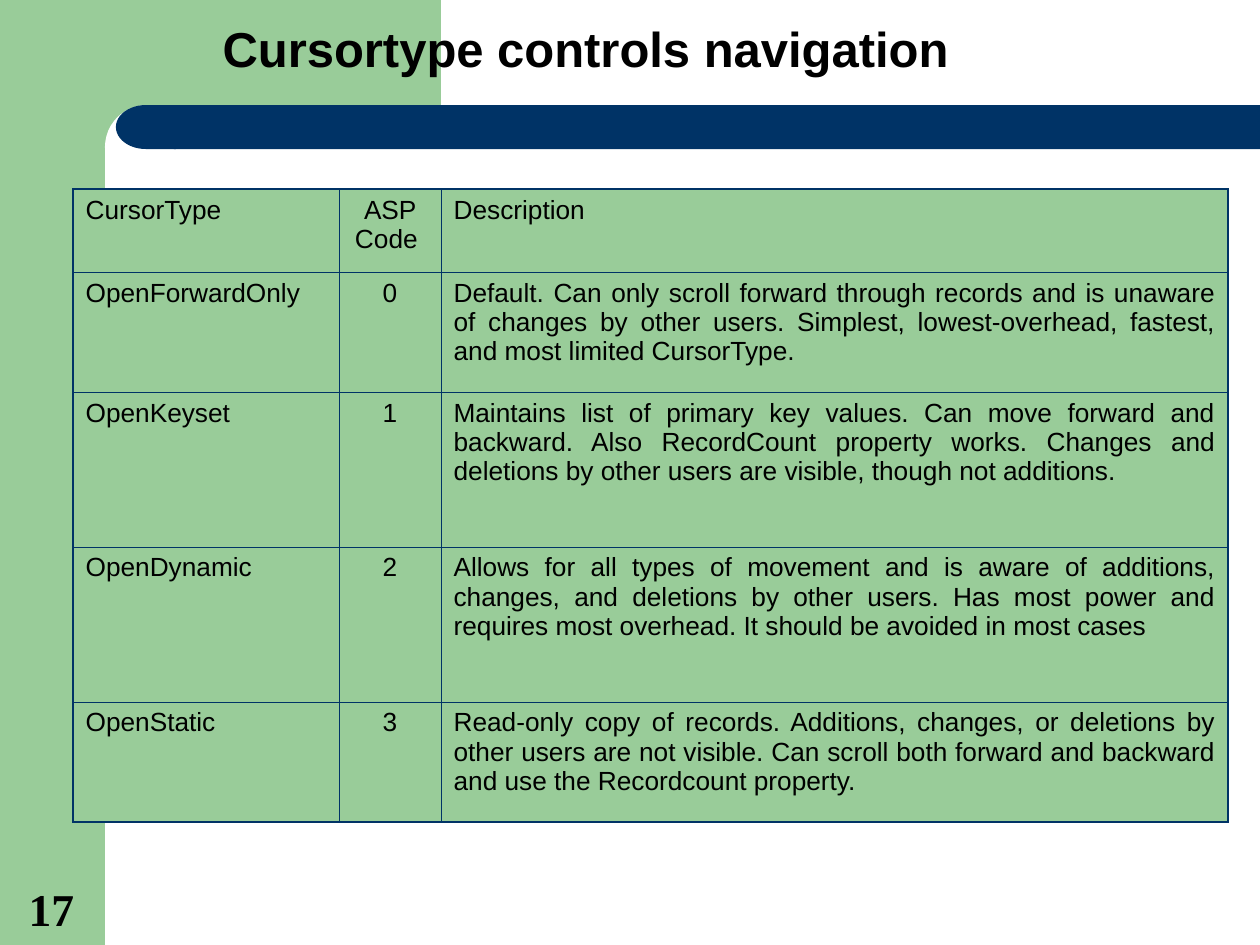
from dataclasses import dataclass
from typing import NamedTuple

from lxml import etree
from pptx import Presentation, util as u
from pptx.dml import color
from pptx.enum import shapes, text
from pptx.oxml import ns

EMU_PER_PX = 914400 / 126


@dataclass(frozen=True)
class Theme:
    green: str = "99CC99"
    navy: str = "003366"
    white: str = "FFFFFF"
    black: str = "000000"
    sans: str = "Arial"
    serif: str = "Times New Roman"
    title_size: int = 28
    cell_size: int = 15
    number_size: int = 26
    outer_line: float = 1.08
    inner_line: float = 0.45


class Box(NamedTuple):
    left: int
    top: int
    width: int
    height: int


class Panel(NamedTuple):
    kind: shapes.MSO_SHAPE
    box: Box
    fill: str
    rounding: float | None = None
    flipped: bool = False


class CursorRow(NamedTuple):
    height: int
    cursor_type: str
    asp_code: str
    description: str


THEME = Theme()
PANELS = (
    Panel(shapes.MSO_SHAPE.RECTANGLE, Box(0, 0, 105, 945), THEME.green),
    Panel(shapes.MSO_SHAPE.RECTANGLE, Box(95, 0, 346, 147), THEME.green),
    Panel(shapes.MSO_SHAPE.ROUNDED_RECTANGLE, Box(105, 105, 703, 84), THEME.white, 0.5),
    Panel(shapes.MSO_SHAPE.ROUNDED_RECTANGLE, Box(174, 105, 1086, 44), THEME.navy, 0),
    Panel(shapes.MSO_SHAPE.FLOWCHART_DELAY, Box(116, 105, 60, 44), THEME.navy, flipped=True),
)
COLUMN_WIDTHS = (266, 102, 787)
CURSOR_ROWS = (
    CursorRow(83, "CursorType", "ASP Code ", "Description"),
    CursorRow(120, "OpenForwardOnly", "0",
              "Default. Can only scroll forward through records and is unaware of changes "
              "by other users. Simplest, lowest-overhead, fastest, and most limited CursorType."),
    CursorRow(155, "OpenKeyset", "1",
              "Maintains list of primary key values. Can move forward and backward. Also "
              "RecordCount property works. Changes and deletions by other users are visible, "
              "though not additions."),
    CursorRow(155, "OpenDynamic", "2",
              "Allows for all types of movement and is aware of additions, changes, and "
              "deletions by other users. Has most power and requires most overhead. "
              "It should be avoided in most cases"),
    CursorRow(120, "OpenStatic", "3",
              "Read-only copy of records. Additions, changes, or deletions by other users are "
              "not visible. Can scroll both forward and backward and use the Recordcount property."),
)


def px(length: int) -> u.Emu:
    return u.Emu(round(length * EMU_PER_PX))


def place(box: Box) -> tuple[u.Emu, ...]:
    return tuple(px(length) for length in box)


def rgb(value: str) -> color.RGBColor:
    return color.RGBColor.from_string(value)


def write(frame, wording: str, *, size: int, font: str = THEME.sans, bold: bool = False,
          align=text.PP_ALIGN.LEFT, anchor=text.MSO_ANCHOR.TOP, spacing: float = 1.0) -> None:
    frame.word_wrap = True
    frame.auto_size = text.MSO_AUTO_SIZE.NONE
    frame.vertical_anchor = anchor
    paragraph = frame.paragraphs[0]
    paragraph.alignment = align
    paragraph.line_spacing = spacing
    paragraph.space_before = u.Pt(0)
    run = paragraph.add_run()
    run.text = wording
    run.font.name = font
    run.font.size = u.Pt(size)
    run.font.bold = bold
    run.font.color.rgb = rgb(THEME.black)


def draw_panel(slide, panel: Panel) -> None:
    shape = slide.shapes.add_shape(panel.kind, *place(panel.box))
    shape.shadow.inherit = False
    shape.fill.solid()
    shape.fill.fore_color.rgb = rgb(panel.fill)
    shape.line.fill.background()
    if panel.rounding is not None:
        shape.adjustments[0] = panel.rounding
    if panel.flipped:
        shape._element.spPr.find(ns.qn("a:xfrm")).set("flipH", "1")


def draw_borders(cell, outer_sides: dict[str, bool]) -> None:
    properties = cell._tc.get_or_add_tcPr()
    for position, (side, outer) in enumerate(outer_sides.items()):
        width = THEME.outer_line if outer else THEME.inner_line
        border = etree.Element(ns.qn(f"a:{side}"), w=str(u.Pt(width)))
        fill = etree.SubElement(border, ns.qn("a:solidFill"))
        etree.SubElement(fill, ns.qn("a:srgbClr"), val=THEME.navy)
        properties.insert(position, border)


def draw_cursor_table(slide, left: int, top: int) -> None:
    box = Box(left, top, sum(COLUMN_WIDTHS), sum(row.height for row in CURSOR_ROWS))
    table = slide.shapes.add_table(len(CURSOR_ROWS), len(COLUMN_WIDTHS), *place(box)).table
    table.first_row = False
    table.horz_banding = False
    for column, width in zip(table.columns, COLUMN_WIDTHS):
        column.width = px(width)
    last_row, last_column = len(CURSOR_ROWS) - 1, len(COLUMN_WIDTHS) - 1
    for r, (height, *wordings) in enumerate(CURSOR_ROWS):
        table.rows[r].height = px(height)
        for c, wording in enumerate(wordings):
            cell = table.cell(r, c)
            cell.fill.solid()
            cell.fill.fore_color.rgb = rgb(THEME.green)
            write(cell.text_frame, wording, size=THEME.cell_size,
                  align=text.PP_ALIGN.CENTER if c == 1 else text.PP_ALIGN.JUSTIFY)
            draw_borders(cell, {"lnL": c == 0, "lnR": c == last_column,
                                "lnT": r == 0, "lnB": r == last_row})


def main() -> None:
    deck = Presentation()
    deck.slide_width, deck.slide_height = px(1260), px(945)
    slide = deck.slides.add_slide(deck.slide_layouts[5])
    for panel in PANELS:
        draw_panel(slide, panel)

    title = slide.shapes.title
    title.left, title.top, title.width, title.height = place(Box(210, 0, 1008, 84))
    slide.shapes._spTree.append(title._element)
    write(title.text_frame, "Cursortype controls navigation", size=THEME.title_size,
          bold=True, anchor=text.MSO_ANCHOR.BOTTOM, spacing=0.9)

    draw_cursor_table(slide, 73, 189)

    page_number = slide.shapes.add_textbox(*place(Box(11, 874, 81, 68)))
    write(page_number.text_frame, "17", size=THEME.number_size, font=THEME.serif, bold=True,
          align=text.PP_ALIGN.CENTER, anchor=text.MSO_ANCHOR.BOTTOM)
    deck.save("out.pptx")


if __name__ == "__main__":
    main()
